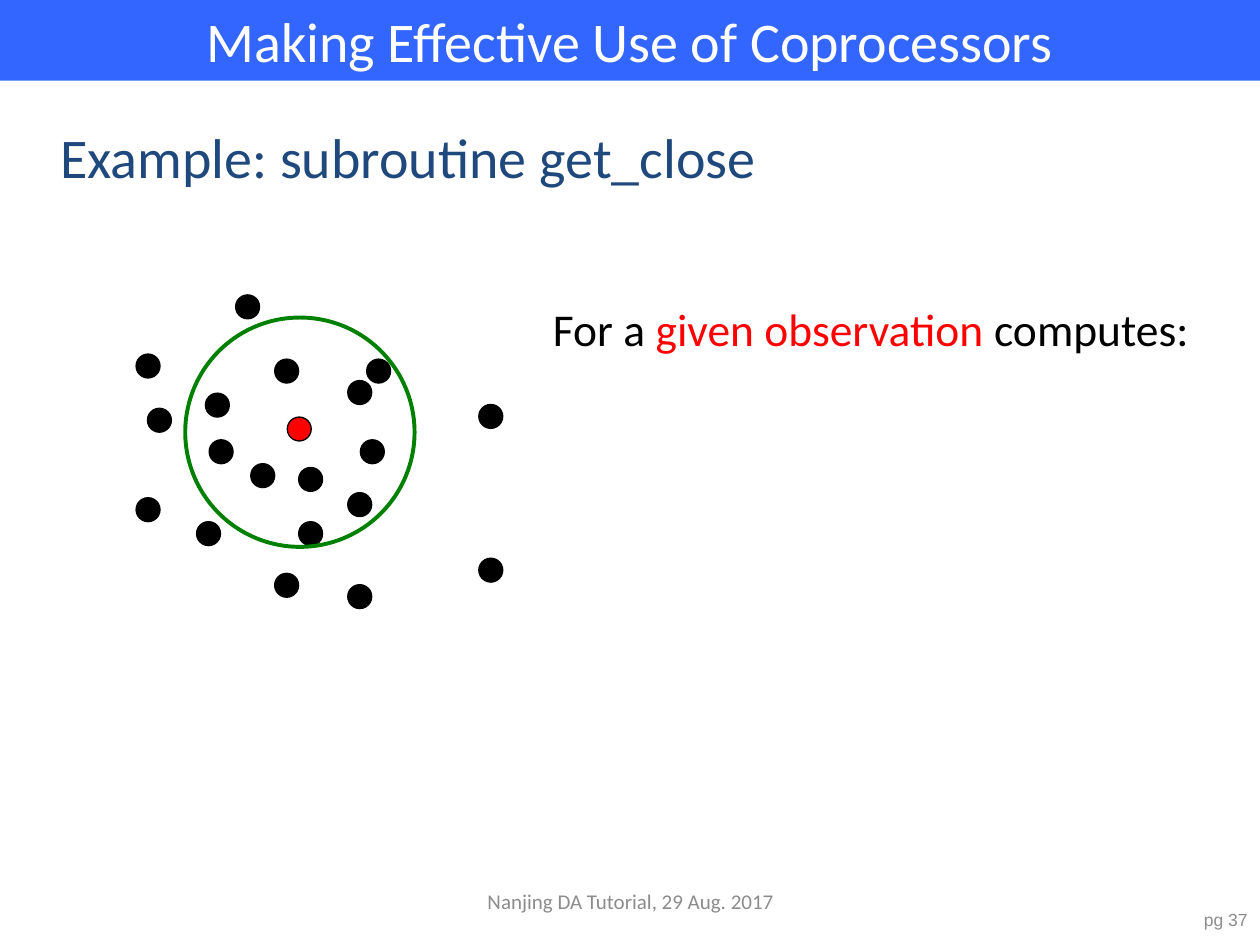
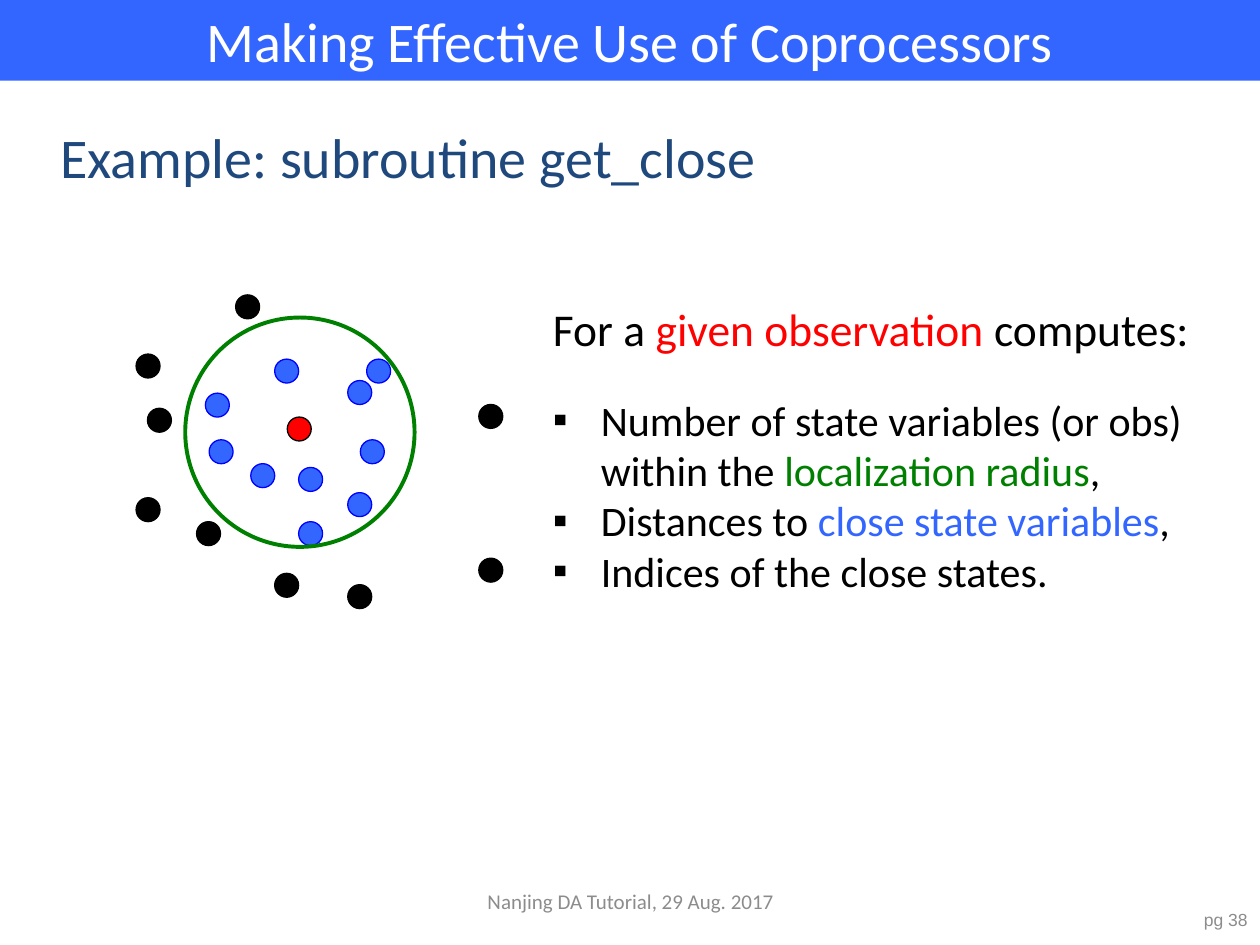
from math import hypot

from lxml.etree import SubElement
from pptx import Presentation
from pptx.dml.color import RGBColor
from pptx.enum.shapes import MSO_SHAPE
from pptx.enum.text import MSO_ANCHOR, PP_ALIGN
from pptx.oxml.ns import qn
from pptx.util import Inches, Pt

BLACK, WHITE, RED, GREEN = "000000", "FFFFFF", "FF0000", "008000"
BLUE, EDGE_BLUE, NAVY, GREY = "3366FF", "0000FF", "1F497D", "8C8C8C"

DOT = 0.19
RADIUS_BOX = (1.47, 2.52, 1.82, 1.82)
OBSERVATION = (2.28, 3.31)
STATES = [
    (1.17, 3.24), (1.08, 3.95), (1.66, 3.49), (2.18, 2.85), (1.56, 4.14),
    (1.99, 3.68), (2.76, 3.91), (2.86, 3.49), (2.76, 3.02), (2.37, 3.71),
    (2.18, 4.55), (2.37, 4.14), (1.87, 2.34), (1.08, 2.81), (2.76, 4.64),
    (2.91, 2.85), (3.8, 3.21), (3.8, 4.43), (1.63, 3.12),
]
INTRO = [("For a ", BLACK), ("given observation ", RED), ("computes:", BLACK)]
RESULTS = [
    [("Number of state variables (or obs) within the ", BLACK),
     ("localization radius", GREEN), (",", BLACK)],
    [("Distances to ", BLACK), ("close state variables", BLUE), (",", BLACK)],
    [("Indices of the close states.", BLACK)],
]


def color(value):
    return RGBColor.from_string(value)


def add_runs(p, runs, size, font="Calibri"):
    for text, value in runs:
        r = p.add_run()
        r.text = text
        for name, setting in {"name": font, "size": Pt(size)}.items():
            setattr(r.font, name, setting)
        r.font.color.rgb = color(value)


def add_text(s, box, runs, size, align=PP_ALIGN.LEFT, anchor=MSO_ANCHOR.MIDDLE,
             font="Calibri"):
    tf = s.shapes.add_textbox(*map(Inches, box)).text_frame
    for name, setting in {"word_wrap": True, "vertical_anchor": anchor}.items():
        setattr(tf, name, setting)
    p = tf.paragraphs[0]
    p.alignment = align
    add_runs(p, runs, size, font)
    return tf


def add_bullet(tf, runs, size, gap):
    p = tf.add_paragraph()
    p.space_before = Pt(gap)
    pPr = p._p.get_or_add_pPr()
    pPr.set("marL", str(Inches(0.38)))
    pPr.set("indent", str(-Inches(0.38)))
    SubElement(pPr, qn("a:buFont"), typeface="Arial")
    SubElement(pPr, qn("a:buChar"), char="▪")
    add_runs(p, runs, size)


def add_shape(s, kind, box, fill=None, line=None, width=0.75):
    sp = s.shapes.add_shape(kind, *map(Inches, box))
    sp.shadow.inherit = False
    if fill:
        sp.fill.solid()
        sp.fill.fore_color.rgb = color(fill)
    else:
        sp.fill.background()
    if line:
        sp.line.color.rgb = color(line)
        sp.line.width = Pt(width)
    else:
        sp.line.fill.background()
    return sp


def add_dot(s, place, fill, line):
    add_shape(s, MSO_SHAPE.OVAL, (*place, DOT, DOT), fill, line)


def is_close(place):
    left, top, size, _ = RADIUS_BOX
    offset = (DOT - size) / 2
    return hypot(place[0] - left + offset, place[1] - top + offset) < size / 2


def add_observation_map(s, mark_close):
    for place in STATES:
        marked = mark_close and is_close(place)
        add_dot(s, place, *((BLUE, EDGE_BLUE) if marked else (BLACK, BLACK)))
    add_dot(s, OBSERVATION, RED, BLACK)
    add_shape(s, MSO_SHAPE.OVAL, RADIUS_BOX, line=GREEN, width=2.25)


def add_frame(s, page):
    band = add_shape(s, MSO_SHAPE.RECTANGLE, (0, 0, 10, 0.64), BLUE)
    band.text_frame.vertical_anchor = MSO_ANCHOR.TOP
    p = band.text_frame.paragraphs[0]
    p.alignment = PP_ALIGN.CENTER
    add_runs(p, [("Making Effective Use of Coprocessors", WHITE)], 32)
    add_text(s, (0.38, 0.75, 8.76, 0.98),
             [("Example: subroutine get_close", NAVY)], 32)
    add_text(s, (3.42, 6.95, 3.17, 0.4),
             [("Nanjing DA Tutorial, 29 Aug. 2017", GREY)], 12, PP_ALIGN.CENTER)
    add_text(s, (9, 7.1, 1, 0.4), [(f"pg {page}", GREY)], 10, PP_ALIGN.RIGHT,
             font="Arial")


def add_get_close_slide(prs, page, results):
    s = prs.slides.add_slide(prs.slide_layouts[6])
    add_frame(s, page)
    add_observation_map(s, bool(results))
    height = 3.37 if results else 1.75
    tf = add_text(s, (4.29, 2.34, 5.29, height), INTRO, 26, anchor=MSO_ANCHOR.TOP)
    for i, runs in enumerate(results):
        add_bullet(tf, runs, 24, 0 if i else 22)


def main():
    prs = Presentation()
    prs.slide_width, prs.slide_height = Inches(10), Inches(7.5)
    for page, results in [(37, []), (38, RESULTS)]:
        add_get_close_slide(prs, page, results)
    prs.save("out.pptx")


if __name__ == "__main__":
    main()
